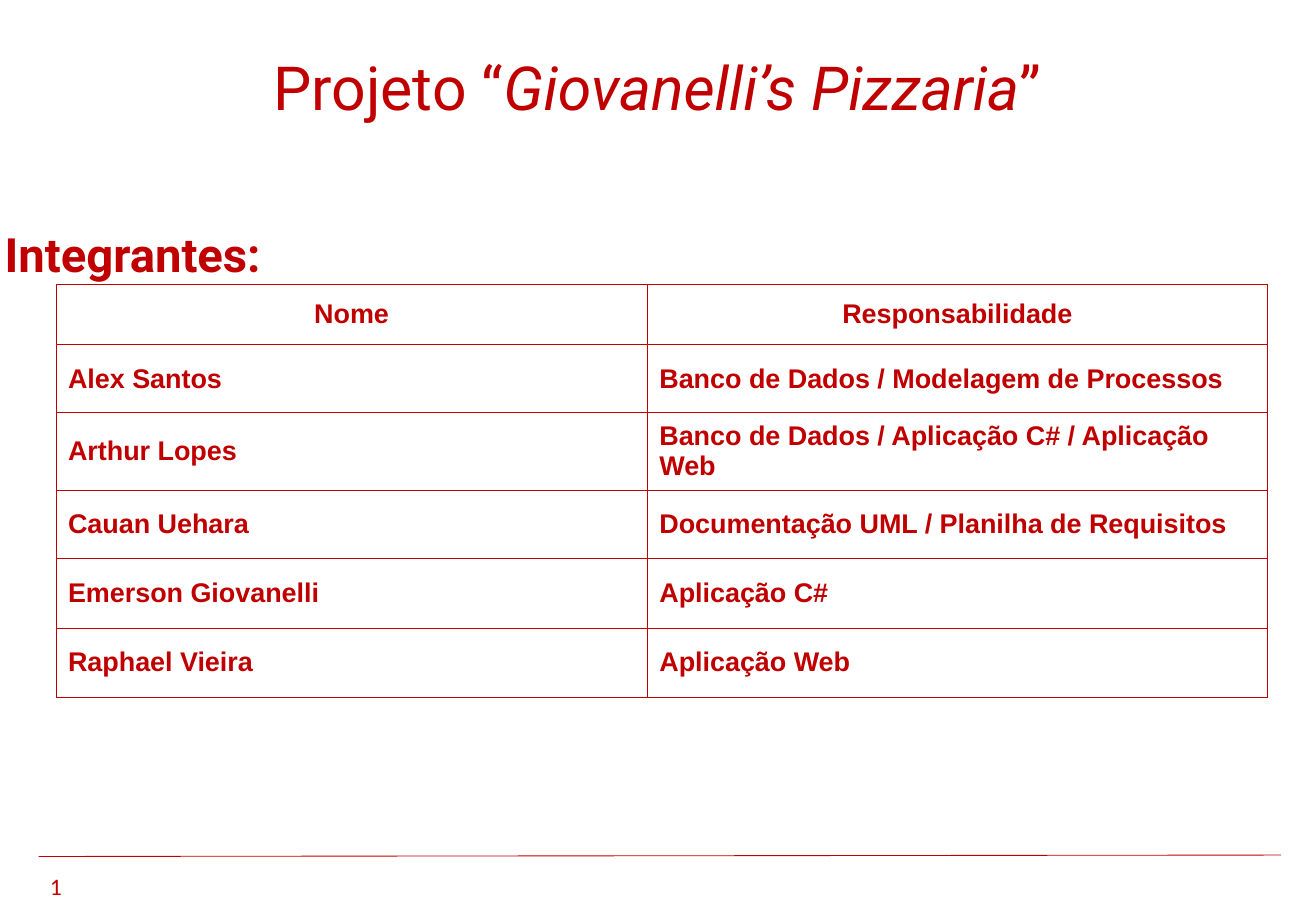
"""Builds the team slide of the pizzeria project."""
from lxml.etree import SubElement
from pptx import Presentation
from pptx.dml.color import RGBColor
from pptx.enum.shapes import MSO_CONNECTOR
from pptx.enum.text import MSO_ANCHOR, MSO_AUTO_SIZE, PP_ALIGN
from pptx.oxml import parse_xml
from pptx.oxml.ns import nsdecls, qn
from pptx.util import Cm, Pt

RED = RGBColor(0xC0, 0x00, 0x00)
WHITE = RGBColor(0xFF, 0xFF, 0xFF)

TEAM = [
    ("Nome", "Responsabilidade"),
    ("Alex Santos", "Banco de Dados / Modelagem de Processos"),
    ("Arthur Lopes", "Banco de Dados / Aplicação C# / Aplicação Web"),
    ("Cauan Uehara", "Documentação UML / Planilha de Requisitos"),
    ("Emerson Giovanelli", "Aplicação C#"),
    ("Raphael Vieira", "Aplicação Web"),
]
COLUMN_WIDTHS = (12.37, 12.98)
ROW_HEIGHTS = (1.27, 1.42, 1.63, 1.42, 1.45, 1.45)


def style_run(run, font_name, size, bold=False, italic=False):
    run.font.name = font_name
    run.font.size = Pt(size)
    run.font.bold = bold
    run.font.italic = italic
    run.font.color.rgb = RED


def add_borders(cell):
    properties = cell._tc.get_or_add_tcPr()
    for side in ("a:lnL", "a:lnR", "a:lnT", "a:lnB"):
        border = SubElement(properties, qn(side), w=str(Pt(0.45)))
        fill = SubElement(border, qn("a:solidFill"))
        SubElement(fill, qn("a:srgbClr"), val=str(RED))


presentation = Presentation()
presentation.slide_width = Cm(27.53)
presentation.slide_height = Cm(19.05)
slide = presentation.slides.add_slide(presentation.slide_layouts[5])
slide.background.fill.solid()
slide.background.fill.fore_color.rgb = WHITE

project = slide.shapes.title
project.left, project.top, project.width, project.height = Cm(0), Cm(0.91), Cm(27.51), Cm(1.78)
project.text_frame.auto_size = MSO_AUTO_SIZE.NONE
project.text_frame.vertical_anchor = MSO_ANCHOR.TOP
project_line = project.text_frame.paragraphs[0]
project_line.alignment = PP_ALIGN.CENTER
for words, italic in (("Projeto “", False), ("Giovanelli’s Pizzaria", True), ("”", False)):
    run = project_line.add_run()
    run.text = words
    style_run(run, "Roboto", 36, italic=italic)

members = slide.shapes.add_textbox(Cm(-0.15), Cm(4.34), Cm(6.83), Cm(1.68)).text_frame
members.word_wrap = True
members.text = "Integrantes:"
members.paragraphs[0].line_spacing = 1.2
style_run(members.paragraphs[0].runs[0], "Roboto", 28, bold=True)

team = slide.shapes.add_table(
    len(TEAM), 2, Cm(1.17), Cm(5.94), Cm(sum(COLUMN_WIDTHS)), Cm(sum(ROW_HEIGHTS))
).table
team.first_row = False
team.horz_banding = False
for column, width in zip(team.columns, COLUMN_WIDTHS):
    column.width = Cm(width)
for row_index, (row, height) in enumerate(zip(team.rows, ROW_HEIGHTS)):
    row.height = Cm(height)
    for cell, words in zip(row.cells, TEAM[row_index]):
        cell.text = words
        cell.vertical_anchor = MSO_ANCHOR.MIDDLE
        add_borders(cell)
        cell.fill.background()
        entry = cell.text_frame.paragraphs[0]
        entry.alignment = PP_ALIGN.LEFT if row_index else PP_ALIGN.CENTER
        style_run(entry.runs[0], "Arial", 16, bold=True)

footer_rule = slide.shapes.add_connector(
    MSO_CONNECTOR.STRAIGHT, Cm(0.81), Cm(17.91), Cm(26.8), Cm(17.88)
)
footer_rule.line.color.rgb = RED
footer_rule.line.width = Pt(0.5)
SubElement(footer_rule._element.spPr, qn("a:effectLst"))

page = slide.shapes.add_textbox(Cm(0.61), Cm(18.11), Cm(1.12), Cm(0.86)).text_frame
page.word_wrap = True
page.text = "1"
page.paragraphs[0].alignment = PP_ALIGN.CENTER
page_number = page.paragraphs[0].runs[0]
style_run(page_number, "Calibri", 14)
page_number._r.rPr.find(qn("a:solidFill")).addnext(parse_xml(
    f'<a:effectLst {nsdecls("a")}><a:outerShdw dist="17960" dir="2700000">'
    '<a:srgbClr val="000000"/></a:outerShdw></a:effectLst>'
))
page_number._r.set("id", "{B6F15528-21DE-4FAA-801E-634DDDAF4B2B}")
page_number._r.set("type", "slidenum")
page_number._r.tag = qn("a:fld")

presentation.save("out.pptx")
